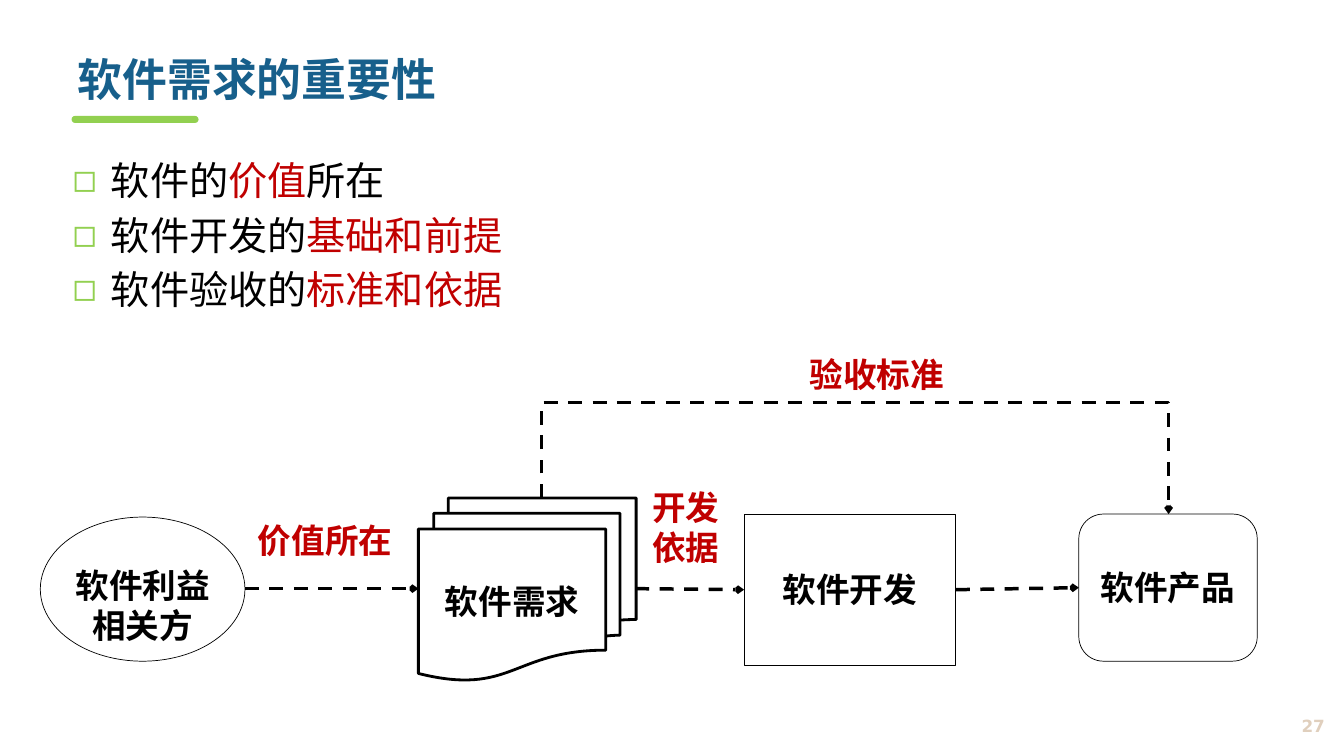
from lxml.etree import SubElement
from pptx import Presentation
from pptx.dml.color import RGBColor
from pptx.enum.dml import MSO_LINE
from pptx.enum.shapes import MSO_CONNECTOR, MSO_SHAPE
from pptx.enum.text import MSO_ANCHOR, MSO_AUTO_SIZE, PP_ALIGN
from pptx.oxml.ns import qn
from pptx.util import Inches, Pt

HUES = {"ink": "000000", "red": "C00000", "blue": "175F8B",
        "lime": "92D050", "sand": "E0CFBD", "white": "FFFFFF"}
HAN, LATIN = "Noto Sans CJK SC", "DejaVu Sans"


def hue(name):
    return RGBColor.from_string(HUES[name])


def grid(*cells):
    """Turn columns and rows of a tenth of an inch into lengths."""
    return [Inches(cell / 10) for cell in cells]


class Deck:
    def __init__(self):
        self.deck = Presentation()
        self.deck.slide_width, self.deck.slide_height = grid(133.3, 75)
        self.slide = self.deck.slides.add_slide(self.deck.slide_layouts[1])
        self.shapes = self.slide.shapes

    def run(self, para, text, size, color, bold=True, face=HAN):
        run = para.add_run()
        run.text = text
        font = run.font
        font.size, font.bold, font.name = Pt(size), bold, face
        font.color.rgb = hue(color)
        SubElement(run._r.get_or_add_rPr(), qn("a:ea"), typeface=face)

    def words(self, frame, lines, size=24, color="ink", align=PP_ALIGN.CENTER,
              anchor=MSO_ANCHOR.MIDDLE, face=HAN):
        frame.word_wrap = True
        frame.auto_size = MSO_AUTO_SIZE.NONE
        frame.vertical_anchor = anchor
        for i, text in enumerate(lines):
            para = frame.add_paragraph() if i else frame.paragraphs[0]
            para.alignment = align
            para.line_spacing = Pt(round(size * 1.19, 1))
            self.run(para, text, size, color, face=face)

    def place(self, item, *cells):
        item.left, item.top, item.width, item.height = grid(*cells)

    def title(self, text, *cells):
        item = self.shapes.title
        self.place(item, *cells)
        self.words(item.text_frame, [text], 32, "blue", PP_ALIGN.LEFT)

    def list(self, rows, *cells):
        item = self.slide.placeholders[1]
        self.place(item, *cells)
        frame = item.text_frame
        frame.auto_size = MSO_AUTO_SIZE.NONE
        for i, (lead, key, rest) in enumerate(rows):
            para = frame.add_paragraph() if i else frame.paragraphs[0]
            props = para._p.get_or_add_pPr()
            props.set("marL", str(Inches(0.38)))
            props.set("indent", str(-Inches(0.38)))
            tint = SubElement(props, qn("a:buClr"))
            SubElement(tint, qn("a:srgbClr"), val=HUES["lime"])
            SubElement(props, qn("a:buChar"), char="◻")
            para.line_spacing = Pt(33.3)
            para.space_before = Pt(5.6 if i else 0)
            for text, color in ((lead, "ink"), (key, "red"), (rest, "ink")):
                if text:
                    self.run(para, text, 28, color, bold=False)

    def label(self, lines, *cells, **style):
        box = self.shapes.add_textbox(*grid(*cells))
        self.words(box.text_frame, lines, **style)

    def node(self, kind, *cells, text=None, fill=None, line=0.5):
        item = self.shapes.add_shape(kind, *grid(*cells))
        item.shadow.inherit = False
        if fill:
            item.fill.solid()
            item.fill.fore_color.rgb = hue(fill)
        else:
            item.fill.background()
        if line:
            item.line.color.rgb = hue("ink")
            item.line.width = Pt(line)
        else:
            item.line.fill.background()
        if text:
            self.words(item.text_frame, [text])
        return item

    def arrow(self, *cells, kind=MSO_CONNECTOR.STRAIGHT, tail=None, head=None):
        link = self.shapes.add_connector(kind, *grid(*cells))
        if tail:
            link.begin_connect(tail, 3)
        if head:
            link.end_connect(head, 1)
        link.line.color.rgb = hue("ink")
        link.line.width = Pt(2.5)
        link.line.dash_style = MSO_LINE.DASH
        props = link._element.spPr
        SubElement(props.find(qn("a:ln")), qn("a:tailEnd"),
                   type="arrow", w="sm", len="sm")
        SubElement(props, qn("a:effectLst"))
        return link

    def bridge(self, x1, y1, x2, y2, peak):
        """Draw an elbow arrow that rises to the row peak and comes down."""
        link = self.arrow(x1, y1, x2, y2, kind=MSO_CONNECTOR.ELBOW)
        wide, tall = y2 - y1, x2 - x1
        self.place(link, (x1 + x2 - wide) / 2, (y1 + y2 - tall) / 2, wide, tall)
        props = link._element.spPr
        frame = props.find(qn("a:xfrm"))
        frame.set("rot", str(270 * 60000))
        frame.set("flipH", "1")
        bend = round((peak - y1) / wide * 100000)
        SubElement(props.find(qn("a:prstGeom")).find(qn("a:avLst")),
                   qn("a:gd"), name="adj1", fmla=f"val {bend}")


def main():
    page = Deck()
    bar = page.node(MSO_SHAPE.ROUND_2_SAME_RECTANGLE, 7.1, 11.5, 12.6, 0.7,
                    fill="lime", line=0)
    bar.adjustments[0] = bar.adjustments[1] = 0.5
    page.title("软件需求的重要性", 6.7, 4.1, 122.7, 7.5)
    page.list([("软件的", "价值", "所在"),
               ("软件开发的", "基础和前提", ""),
               ("软件验收的", "标准和依据", "")], 6.2, 15.1, 127.1, 18.9)
    page.label(["27"], 121.1, 70.1, 11.3, 3.8, size=12, color="sand",
               align=PP_ALIGN.RIGHT, face=LATIN)

    page.node(MSO_SHAPE.FLOWCHART_MULTIDOCUMENT, 41.5, 49.4, 21.6, 18.1,
              text="软件需求", fill="white", line=2)
    page.node(MSO_SHAPE.OVAL, 4, 51.3, 20.3, 14.3)
    build = page.node(MSO_SHAPE.RECTANGLE, 73.8, 51, 21, 15, text="软件开发")
    goods = page.node(MSO_SHAPE.ROUNDED_RECTANGLE, 107, 51, 17.7, 14.6,
                      text="软件产品")

    page.arrow(24.3, 58.4, 41.5, 58.4)
    page.arrow(63, 58.4, 73.8, 58.5, head=build)
    page.arrow(94.8, 58.3, 107, 58.3, tail=build, head=goods)
    page.bridge(53.7, 49.4, 115.9, 51, peak=39.9)

    note = {"color": "red", "align": PP_ALIGN.LEFT, "anchor": MSO_ANCHOR.TOP}
    page.label(["开发", "依据"], 63.7, 47.8, 10.8, 9.6, **note)
    page.label(["验收标准"], 79.3, 34.6, 17.8, 5.8, **note)
    page.label(["价值所在"], 24.6, 51.1, 16.6, 5.8, **note)
    page.label(["软件利益", "相关方"], 4.6, 55.6, 19.1, 9,
               anchor=MSO_ANCHOR.TOP)
    page.deck.save("out.pptx")


if __name__ == "__main__":
    main()
